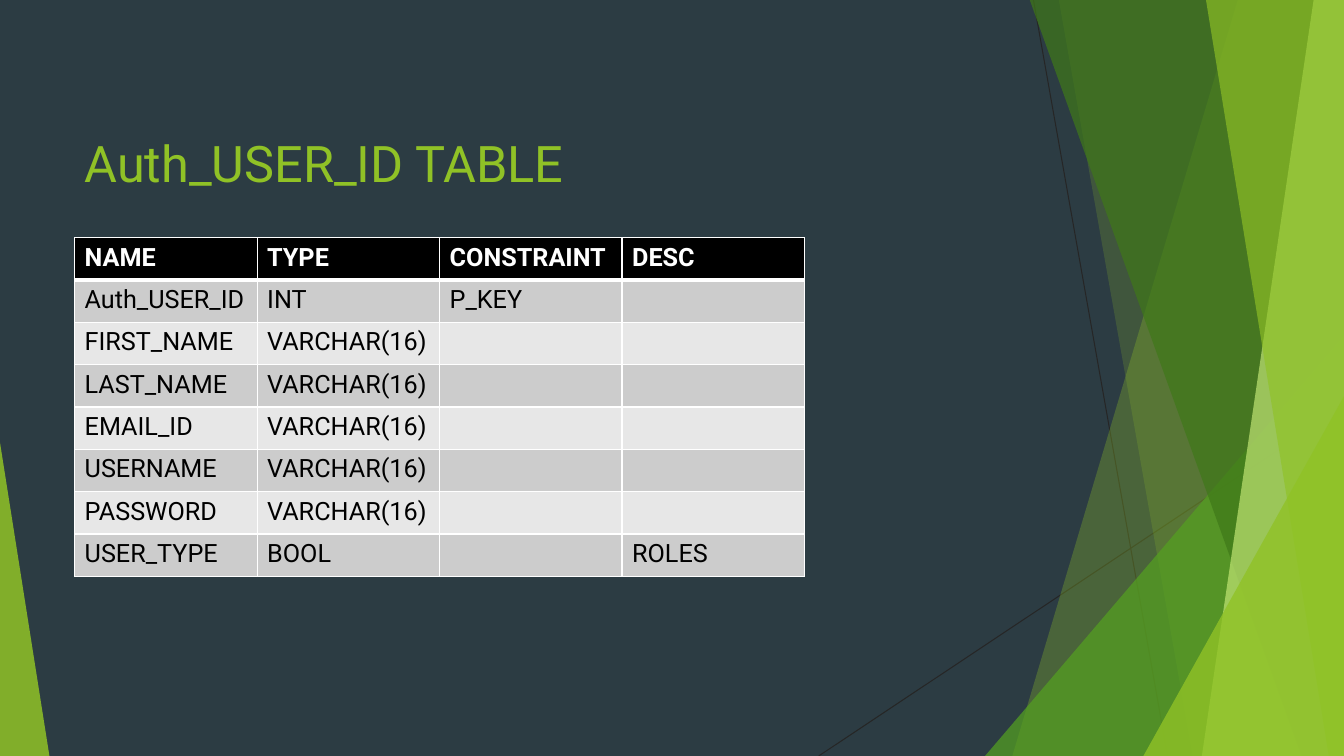
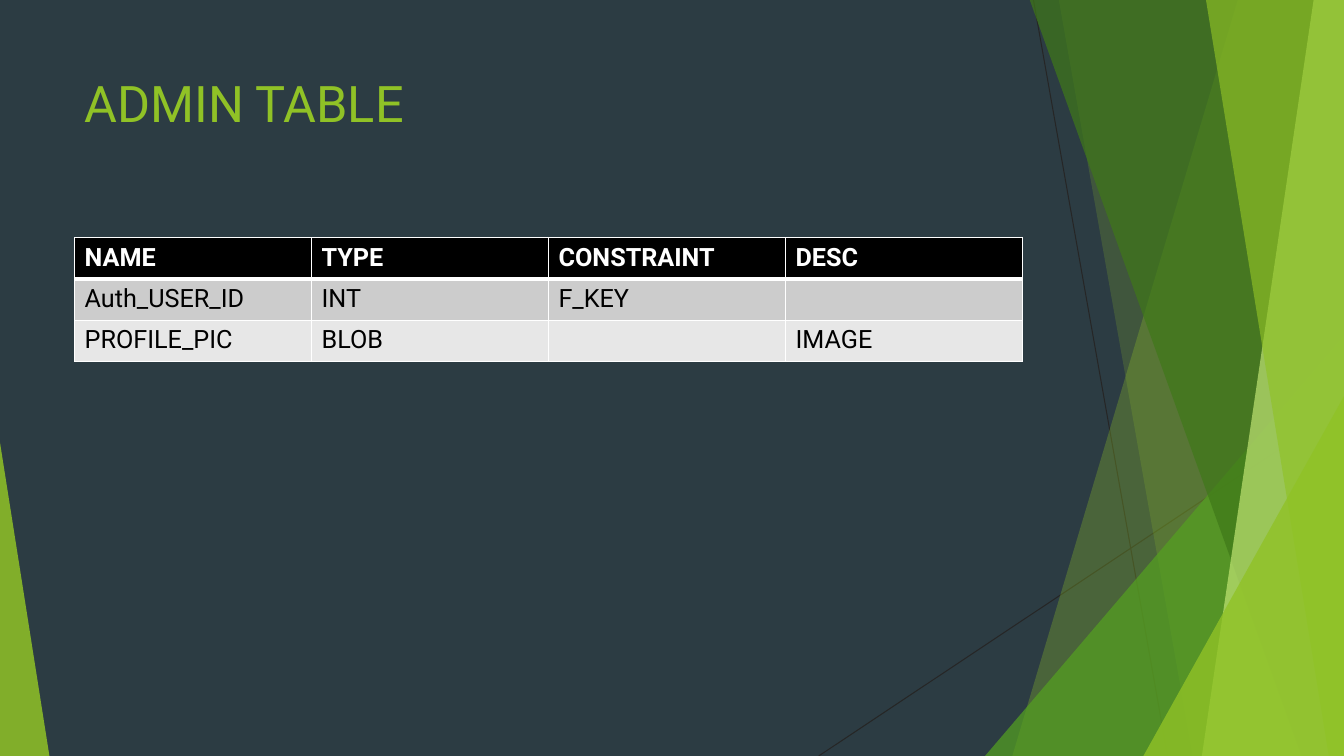
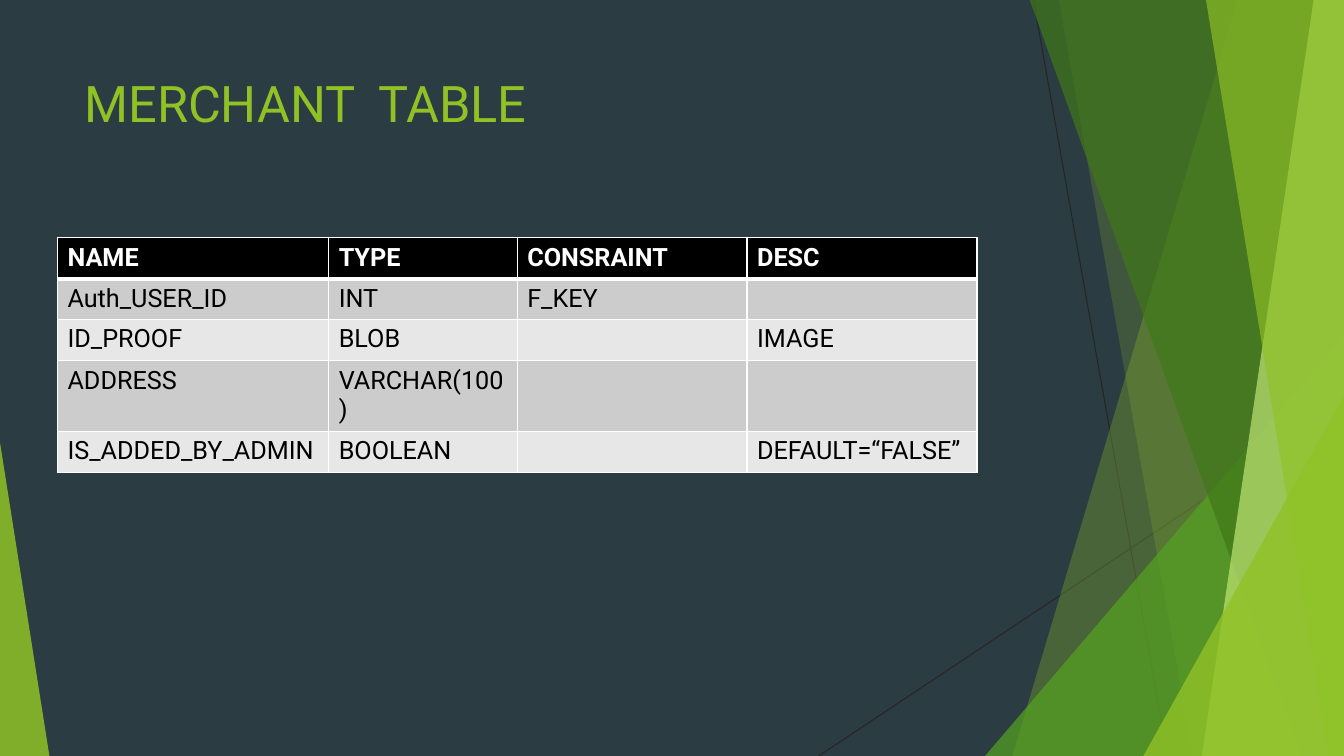
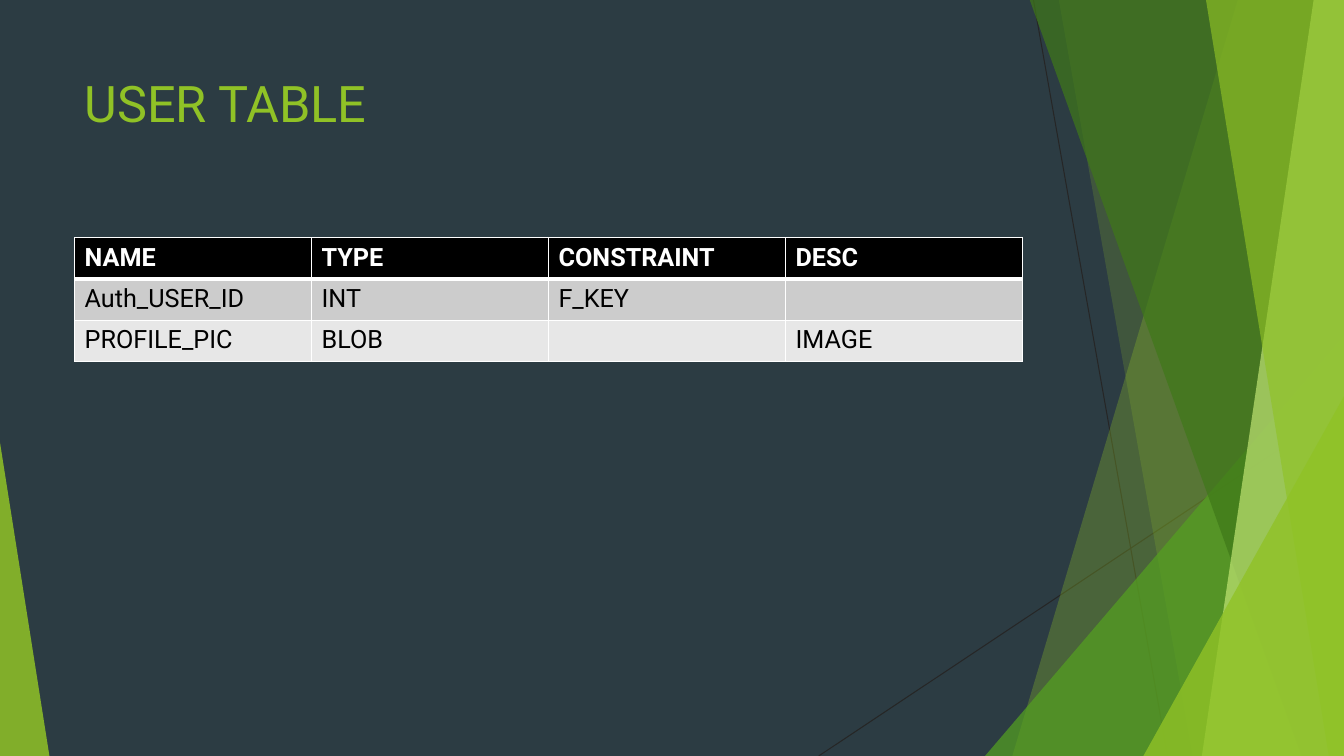
from dataclasses import dataclass

from lxml.etree import SubElement
from pptx import Presentation
from pptx.dml.color import RGBColor
from pptx.enum.shapes import MSO_CONNECTOR as Connector, MSO_SHAPE as Shape
from pptx.enum.text import MSO_ANCHOR as Anchor
from pptx.oxml import parse_xml
from pptx.oxml.ns import nsdecls, qn
from pptx.util import Pt

PX = 9144  # EMU per px, 100 px to the inch
WIDTH, HEIGHT = 1333, 750


@dataclass(frozen=True)
class Theme:
    font: str = "Roboto"
    title_size: int = 36
    table_size: int = 18
    title_line: int = 59  # height of one title line, px
    background: str = "2C3C43"
    lime: str = "90C226"
    pale_lime: str = "C0E474"
    green: str = "54A021"
    dark_green: str = "3F7819"
    hairline: str = "262626"
    header_fill: str = "000000"
    header_text: str = "FFFFFF"
    body_text: str = "000000"
    bands: tuple = ("CCCCCC", "E7E7E7")
    border: str = "FFFFFF"
    thin: float = 1
    thick: float = 3


class Deck:
    def __init__(self, theme):
        self.theme = theme
        self.presentation = Presentation()
        self.presentation.slide_width = WIDTH * PX
        self.presentation.slide_height = HEIGHT * PX
        self.slide = None
        fill = self.presentation.slide_master.background.fill
        fill.solid()
        fill.fore_color.rgb = RGBColor.from_string(theme.background)

    def add_slide(self):
        layout = self.presentation.slide_layouts[6]
        self.slide = self.presentation.slides.add_slide(layout)
        self.facets()

    # Shapes and lines
    def paint(self, shape, color, opacity):
        shape.shadow.inherit = False
        shape.line.fill.background()
        shape.fill.solid()
        shape.fill.fore_color.rgb = RGBColor.from_string(color)
        color_element = shape.fill._xPr.find(qn("a:solidFill"))[0]
        SubElement(color_element, qn("a:alpha"), val=str(opacity * 1000))

    def line(self, x1, y1, x2, y2):
        line = self.slide.shapes.add_connector(
            Connector.STRAIGHT, x1 * PX, y1 * PX, x2 * PX, y2 * PX)
        line.line.color.rgb = RGBColor.from_string(self.theme.hairline)
        line.line.width = Pt(0.75)
        SubElement(line._element.spPr, qn("a:effectLst"))

    def side_panel(self, top_x, bottom_x, color, opacity):
        """Full-height panel from a slanted left edge to the slide's right edge."""
        builder = self.slide.shapes.build_freeform(top_x, -1, scale=PX)
        builder.add_line_segments(
            [(WIDTH, -1), (WIDTH, HEIGHT), (bottom_x, HEIGHT)], close=True)
        self.paint(builder.convert_to_shape(), color, opacity)

    def corner(self, left, top, width, apex, color, opacity):
        """Triangle standing on the bottom edge; apex is 0 (left) to 1 (right)."""
        triangle = self.slide.shapes.add_shape(
            Shape.ISOSCELES_TRIANGLE, left * PX, top * PX,
            width * PX, (HEIGHT - top) * PX)
        triangle.adjustments[0] = apex
        self.paint(triangle, color, opacity)

    def facets(self):
        theme = self.theme
        self.line(1025, 0, 1158, HEIGHT)
        self.line(WIDTH, 403, 812, HEIGHT)
        self.side_panel(1228, 1004, theme.lime, 30)
        self.side_panel(1050, 1183, theme.lime, 20)
        self.corner(977, 333, 356, 1, theme.green, 72)
        self.side_panel(1021, 1291, theme.dark_green, 70)
        self.side_panel(1303, 1192, theme.pale_lime, 70)
        self.side_panel(1196, 1318, theme.lime, 65)
        self.corner(1134, 393, 199, 1, theme.lime, 80)
        self.corner(0, 439, 49, 0, theme.lime, 85)

    # Text
    def style_text(self, text_frame, size, color, bold=False):
        for paragraph in text_frame.paragraphs:
            for run in paragraph.runs:
                run.font.name = self.theme.font
                run.font.size = Pt(size)
                run.font.bold = bold
                run.font.color.rgb = RGBColor.from_string(color)

    def title(self, text, lines_down=0):
        box = self.slide.shapes.add_textbox(74 * PX, 67 * PX, 940 * PX, 144 * PX)
        frame = box.text_frame
        frame.word_wrap = True
        frame.vertical_anchor = Anchor.TOP
        frame.margin_top = (5 + lines_down * self.theme.title_line) * PX
        frame.text = text
        self.style_text(frame, self.theme.title_size, self.theme.lime)

    # Tables
    def borders(self, cell, top, bottom):
        properties = cell._tc.get_or_add_tcPr()
        thin = self.theme.thin
        sides = (("L", thin), ("R", thin), ("T", top), ("B", bottom))
        for index, (side, width) in enumerate(sides):
            properties.insert(index, parse_xml(
                f'<a:ln{side} {nsdecls("a")} w="{Pt(width)}"><a:solidFill>'
                f'<a:srgbClr val="{self.theme.border}"/></a:solidFill></a:ln{side}>'))

    def table(self, left, column_widths, row_heights, rows):
        theme = self.theme
        table = self.slide.shapes.add_table(
            len(rows), len(column_widths), left * PX, 236 * PX,
            sum(column_widths) * PX, sum(row_heights) * PX).table
        table.first_row = table.horz_banding = False
        for column, width in zip(table.columns, column_widths):
            column.width = width * PX
        for index, (row, height, texts) in enumerate(
                zip(table.rows, row_heights, rows)):
            row.height = height * PX
            header = index == 0
            fill = theme.header_fill if header else theme.bands[(index - 1) % 2]
            color = theme.header_text if header else theme.body_text
            top = theme.thick if index == 1 else theme.thin
            bottom = theme.thick if header else theme.thin
            for cell, text in zip(row.cells, texts):
                cell.fill.solid()
                cell.fill.fore_color.rgb = RGBColor.from_string(fill)
                self.borders(cell, top, bottom)
                if text:
                    cell.text_frame.text = text
                    self.style_text(cell.text_frame, theme.table_size, color, header)


HEADER = ("NAME", "TYPE", "CONSTRAINT", "DESC")
FOREIGN_KEY = ("Auth_USER_ID", "INT", "F_KEY", "")


def profile_slide(deck, title):
    deck.add_slide()
    deck.title(title)
    deck.table(74, [235] * 4, [41] * 3, [
        HEADER, FOREIGN_KEY, ("PROFILE_PIC", "BLOB", "", "IMAGE")])


def main():
    deck = Deck(Theme())

    # Login accounts
    deck.add_slide()
    deck.title("Auth_USER_ID TABLE", lines_down=1)
    text_fields = ("FIRST_NAME", "LAST_NAME", "EMAIL_ID", "USERNAME", "PASSWORD")
    deck.table(74, [181] * 4, [42] * 8, [
        HEADER,
        ("Auth_USER_ID", "INT", "P_KEY", ""),
        *((name, "VARCHAR(16)", "", "") for name in text_fields),
        ("USER_TYPE", "BOOL", "", "ROLES"),
    ])

    # Administrators
    profile_slide(deck, "ADMIN TABLE")

    # Merchants
    deck.add_slide()
    deck.title("MERCHANT  TABLE")
    deck.table(57, [269, 187, 228, 228], [41, 36, 41, 41, 41], [
        ("NAME", "TYPE", "CONSRAINT", "DESC"),
        FOREIGN_KEY,
        ("ID_PROOF", "BLOB", "", "IMAGE"),
        ("ADDRESS", "VARCHAR(100)", "", ""),
        ("IS_ADDED_BY_ADMIN", "BOOLEAN", "", "DEFAULT=“FALSE”"),
    ])

    # Users
    profile_slide(deck, "USER TABLE")

    deck.presentation.save("out.pptx")


if __name__ == "__main__":
    main()
